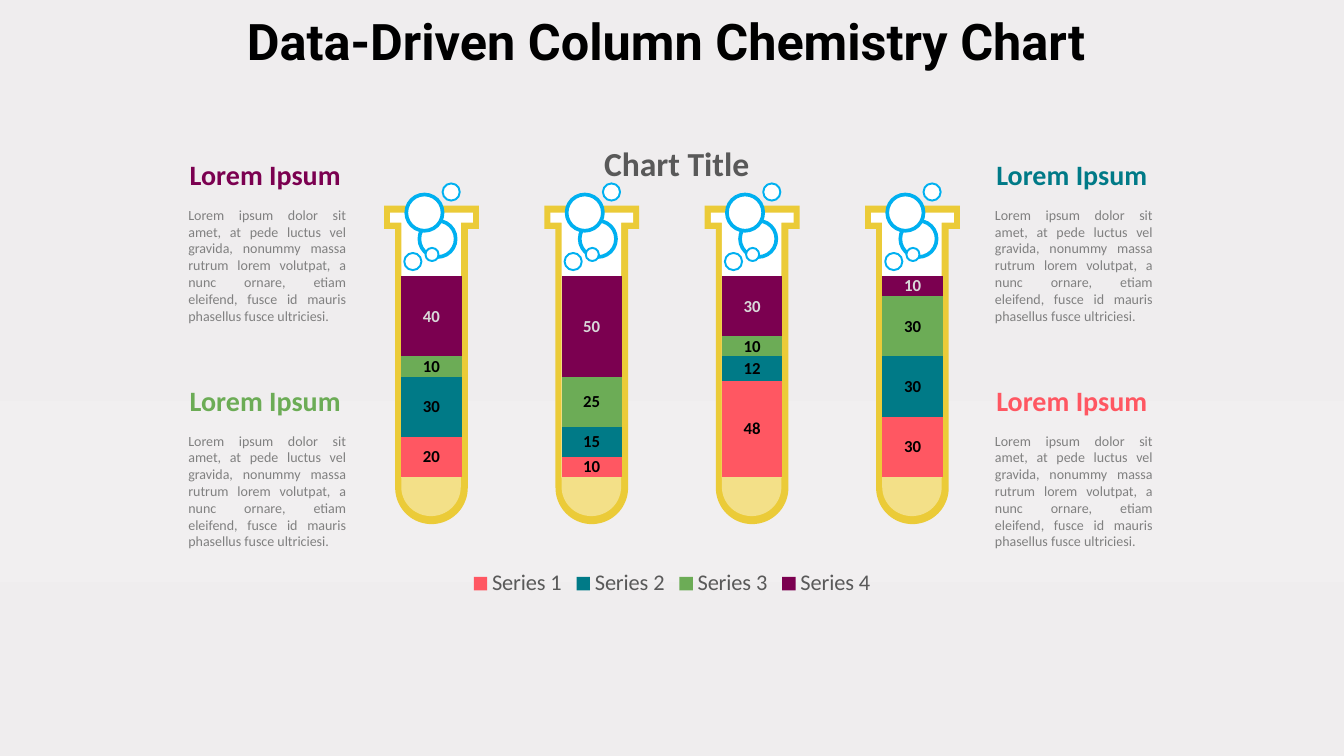
import math

import pptx
import pptx.chart.data
import pptx.dml.color
import pptx.enum.chart
import pptx.enum.shapes
import pptx.enum.text
import pptx.oxml
import pptx.oxml.ns
import pptx.util

Inches = pptx.util.Inches
Pt = pptx.util.Pt
COLORS = {
    "coral": "FF5762", "teal": "007A87", "green": "6CAC56", "plum": "7B0050",
    "glass": "EBCB38", "base": "F3E088", "bubble": "00B0F0", "white": "FFFFFF",
    "black": "000000", "body": "808080", "chart_text": "595959", "pale": "D9D9D9",
}
BACKGROUND_STOPS = [(0, "EFEDEE"), (53, "F1EFF0"), (77, "EFEDEE"), (100, "EFEBEC")]
BODY = ("Lorem ipsum dolor sit amet, at pede luctus vel gravida, nonummy massa rutrum "
        "lorem volutpat, a nunc ornare, etiam eleifend, fusce id mauris phasellus fusce ultriciesi.")
SERIES = [
    ("Series 1", (20, 10, 48, 30), "coral", "black"),
    ("Series 2", (30, 15, 12, 30), "teal", "black"),
    ("Series 3", (10, 25, 10, 30), "green", "black"),
    ("Series 4", (40, 50, 30, 10), "plum", "pale"),
]
BUBBLES = [
    (0.35, 0.37, 0.36, 2.63, True),
    (0.2, 0.69, 0.17, 1.38, False),
    (0.41, 0.64, 0.13, 1.38, True),
    (0.22, 0.11, 0.36, 2.63, True),
    (0.58, 0, 0.17, 1.38, True),
]
NOTES = [(1.77, 1.51, "plum"), (1.77, 3.75, "green"),
         (9.77, 1.51, "teal"), (9.77, 3.75, "coral")]


def color(name):
    return pptx.dml.color.RGBColor.from_string(COLORS[name])


def style_font(font, size, name, bold=False, family="Calibri"):
    font.size = Pt(size)
    font.name = family
    font.bold = bold
    font.color.rgb = color(name)


def set_background(slide):
    stops = "".join(f'<a:gs pos="{position * 1000}"><a:srgbClr val="{value}"/></a:gs>'
                    for position, value in BACKGROUND_STOPS)
    background = pptx.oxml.parse_xml(
        f'<p:bg {pptx.oxml.ns.nsdecls("p", "a")}><p:bgPr><a:gradFill><a:gsLst>{stops}</a:gsLst>'
        '<a:lin ang="5400000" scaled="0"/></a:gradFill><a:effectLst/></p:bgPr></p:bg>')
    slide.element.find(pptx.oxml.ns.qn("p:cSld")).insert(0, background)


def add_text(shapes, box, text, size, name, alignment, bold=False, wrap=True,
             anchor=pptx.enum.text.MSO_ANCHOR.MIDDLE, family="Calibri"):
    frame = shapes.add_textbox(*map(Inches, box)).text_frame
    frame.word_wrap = wrap
    frame.vertical_anchor = anchor
    paragraph = frame.paragraphs[0]
    paragraph.text = text
    paragraph.alignment = alignment
    style_font(paragraph.font, size, name, bold, family)
    return paragraph


def add_outline(shapes, left, top, points, fill):
    corners = [(Inches(left + x), Inches(top + y)) for x, y in points]
    builder = shapes.build_freeform(*corners[0], scale=1.0)
    builder.add_line_segments(corners[1:], close=True)
    shape = builder.convert_to_shape()
    shape.shadow.inherit = False
    shape.fill.solid()
    shape.fill.fore_color.rgb = color(fill)
    shape.line.fill.background()


def bowl(center_x, center_y, radius_x, radius_y):
    angles = [math.pi * step / 40 for step in range(41)]
    return [(center_x - radius_x * math.cos(angle), center_y + radius_y * math.sin(angle))
            for angle in angles]


def add_tube(slide, left, top):
    shapes = slide.shapes.add_group_shape().shapes
    glass = [(0, 0.22), (0, 0.45), (0.11, 0.45), *bowl(0.47, 3.02, 0.36, 0.36),
             (0.83, 0.45), (0.94, 0.45), (0.94, 0.22)]
    inside = [(0.06, 0.29), (0.88, 0.29), (0.88, 0.39), (0.76, 0.39),
              (0.76, 2.92), (0.17, 2.92), (0.17, 0.39), (0.06, 0.39)]
    base = [(0.17, 2.91), *bowl(0.465, 3.01, 0.295, 0.29), (0.76, 2.91)]
    for points, fill in ((glass, "glass"), (inside, "white"), (base, "base")):
        add_outline(shapes, left, top, points, fill)
    for x, y, diameter, weight, filled in BUBBLES:
        bubble = shapes.add_shape(pptx.enum.shapes.MSO_SHAPE.OVAL, Inches(left + x),
                                  Inches(top + y), Inches(diameter), Inches(diameter))
        bubble.shadow.inherit = False
        if filled:
            bubble.fill.solid()
            bubble.fill.fore_color.rgb = color("white")
        else:
            bubble.fill.background()
        bubble.line.color.rgb = color("bubble")
        bubble.line.width = Pt(weight)


def manual_layout(inner=False, **fractions):
    target = '<c:layoutTarget val="inner"/>' if inner else ""
    modes = "".join(f'<c:{key}Mode val="edge"/>' for key in ("x", "y"))
    values = "".join(f'<c:{key} val="{value}"/>' for key, value in fractions.items())
    return pptx.oxml.parse_xml(f'<c:layout {pptx.oxml.ns.nsdecls("c")}><c:manualLayout>'
                               f'{target}{modes}{values}</c:manualLayout></c:layout>')


def add_column_chart(slide, left, top, width, height):
    data = pptx.chart.data.CategoryChartData()
    data.categories = ["1", "2", "3", "4"]
    for name, values, *_ in SERIES:
        data.add_series(name, values)
    chart = slide.shapes.add_chart(pptx.enum.chart.XL_CHART_TYPE.COLUMN_STACKED_100,
                                   *map(Inches, (left, top, width, height)), data).chart
    style_font(chart.font, 10, "black")
    chart.has_title = True
    paragraph = chart.chart_title.text_frame.paragraphs[0]
    paragraph.text = "Chart Title"
    style_font(paragraph.font, 24, "chart_text", True)
    title = chart.chart_title._element
    for layout in title.findall(pptx.oxml.ns.qn("c:layout")):
        title.remove(layout)
    title.find(pptx.oxml.ns.qn("c:tx")).addnext(manual_layout(x=0.39, y=0.05))
    chart.has_legend = True
    chart.legend.position = pptx.enum.chart.XL_LEGEND_POSITION.BOTTOM
    chart.legend.include_in_layout = False
    style_font(chart.legend.font, 16, "chart_text")
    chart.category_axis.visible = False
    chart.value_axis.visible = False
    chart.value_axis.has_major_gridlines = False
    plot = chart.plots[0]
    plot.gap_width = 166
    plot.overlap = 100
    plot.vary_by_categories = False
    for series, (_, _, fill, label_color) in zip(plot.series, SERIES):
        series.format.fill.solid()
        series.format.fill.fore_color.rgb = color(fill)
        series.data_labels.show_value = True
        style_font(series.data_labels.font, 12, label_color, True)
    area = chart._chartSpace.chart.plotArea
    for layout in area.findall(pptx.oxml.ns.qn("c:layout")):
        area.remove(layout)
    area.insert(0, manual_layout(inner=True, x=0.023, y=0.338, w=0.954, h=0.409))


def add_note(slide, left, top, heading_color):
    shapes = slide.shapes.add_group_shape().shapes
    align = pptx.enum.text.PP_ALIGN
    add_text(shapes, (left, top, 1.72, 0.44), "Lorem Ipsum", 20, heading_color,
             align.CENTER, bold=True, wrap=False)
    add_text(shapes, (left, top + 0.48, 1.76, 1.28), BODY, 10, "body", align.JUSTIFY)


def main():
    presentation = pptx.Presentation()
    presentation.slide_width = Inches(13.33)
    presentation.slide_height = Inches(7.5)
    slide = presentation.slides.add_slide(presentation.slide_layouts[6])
    set_background(slide)
    for index in range(4):
        add_tube(slide, 3.81 + 1.59 * index, 1.82)
    title = add_text(slide.shapes, (2.35, 0.12, 9.17, 0.81), "Data-Driven Column Chemistry Chart",
                     36, "black", pptx.enum.text.PP_ALIGN.LEFT, bold=True,
                     anchor=pptx.enum.text.MSO_ANCHOR.TOP, family="Roboto")
    title.line_spacing = 0.9
    add_column_chart(slide, 3.33, 1.09, 6.67, 4.88)
    for left, top, heading_color in NOTES:
        add_note(slide, left, top, heading_color)
    presentation.save("out.pptx")


if __name__ == "__main__":
    main()
